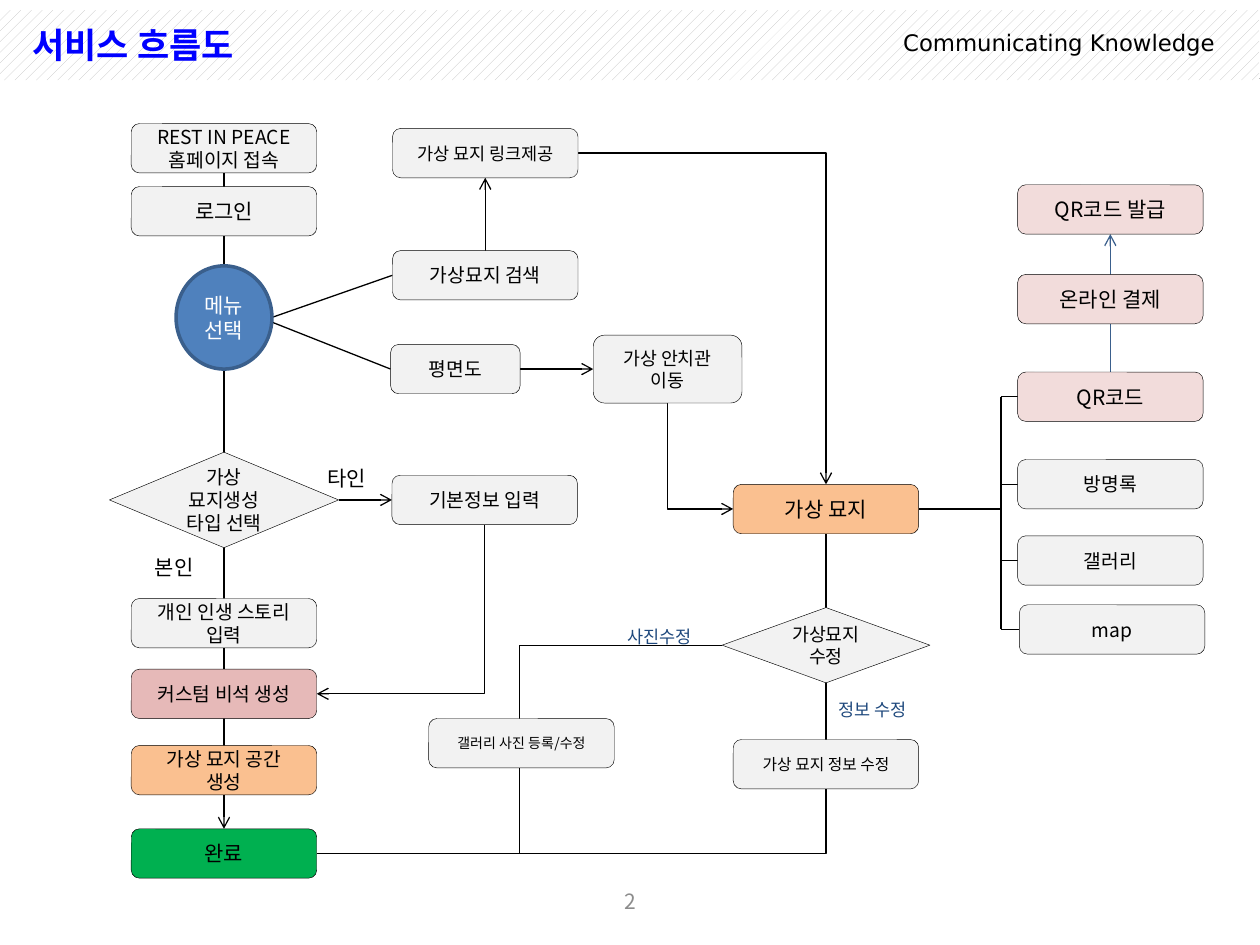
from lxml import etree
from pptx import Presentation
from pptx import util as u
from pptx.dml.color import RGBColor
from pptx.enum import dml, shapes, text
from pptx.oxml.ns import qn

KOREAN, LATIN = "Noto Sans CJK KR", "DejaVu Sans"
BLACK = RGBColor(0x00, 0x00, 0x00)
WHITE = RGBColor(0xFF, 0xFF, 0xFF)
GREY = RGBColor(0xF2, 0xF2, 0xF2)
PINK = RGBColor(0xF2, 0xDC, 0xDB)
ROSE = RGBColor(0xE6, 0xB9, 0xB8)
ORANGE = RGBColor(0xFA, 0xC0, 0x90)
GREEN = RGBColor(0x00, 0xB0, 0x50)
BLUE = RGBColor(0x4F, 0x81, 0xBD)
STEEL = RGBColor(0x3A, 0x5F, 0x8C)
NAVY = RGBColor(0x1F, 0x49, 0x7D)
TITLE_BLUE = RGBColor(0x00, 0x00, 0xFF)
RULE_GREY = RGBColor(0xB2, 0xB2, 0xB2)
HATCH_GREY = RGBColor(0xC0, 0xC0, 0xC0)
NUMBER_GREY = RGBColor(0x8C, 0x8C, 0x8C)

STEP_W, STEP_H = 106, 28.2
TOP, LEFT, BOTTOM, RIGHT = range(4)
ROUND = shapes.MSO_SHAPE.ROUNDED_RECTANGLE
DECISION = shapes.MSO_SHAPE.FLOWCHART_DECISION


def write(box, words, size=11, color=BLACK, font=KOREAN, bold=False,
          align=text.PP_ALIGN.CENTER, spacing=None, wrap=True):
    """Fill a shape with one paragraph per line of words."""
    frame = box.text_frame
    frame.word_wrap = wrap
    frame.vertical_anchor = text.MSO_ANCHOR.MIDDLE
    for number, line in enumerate(words.split("\n")):
        para = frame.add_paragraph() if number else frame.paragraphs[0]
        para.alignment = align
        para.line_spacing = spacing or u.Pt(size * 1.2)
        span = para.add_run()
        span.text = line
        span.font.name, span.font.size = font, u.Pt(size)
        span.font.bold = bold
        span.font.color.rgb = color
        east = etree.SubElement(span._r.get_or_add_rPr(), qn("a:ea"))
        east.set("typeface", font)


def label(page, words, x, y, width, height, **style):
    box = page.shapes.add_textbox(*map(u.Pt, (x, y, width, height)))
    write(box, words, **style)


def node(page, words, x, y, width=STEP_W, height=STEP_H, kind=ROUND,
         fill=GREY, line=BLACK, weight=0.25, **style):
    box = page.shapes.add_shape(kind, *map(u.Pt, (x, y, width, height)))
    box.shadow.inherit = False
    box.fill.solid()
    box.fill.fore_color.rgb = fill
    box.line.color.rgb = line
    box.line.width = u.Pt(weight)
    write(box, words, **style)
    return box


def link(page, start, end, arrow=None, color=BLACK, bend=None):
    """Join two ends, each a point (x, y) or a (box, side), behind the boxes.

    arrow is "headEnd" (at start) or "tailEnd" (at end).
    bend is the number of the bent connector: 2 for one corner, 3 for two.
    """
    kind = shapes.MSO_CONNECTOR.ELBOW if bend else shapes.MSO_CONNECTOR.STRAIGHT
    points = [(0, 0) if hasattr(place[0], "shape_id") else place
              for place in (start, end)]
    line = page.shapes.add_connector(
        kind, *(u.Pt(value) for point in points for value in point))
    if hasattr(start[0], "shape_id"):
        line.begin_connect(*start)
    if hasattr(end[0], "shape_id"):
        line.end_connect(*end)
    line.line.color.rgb = color
    line.line.width = u.Pt(0.75)
    properties = line._element.spPr
    if bend:
        properties.find(qn("a:prstGeom")).set("prst", f"bentConnector{bend}")
    if arrow:
        tip = etree.SubElement(line.line._get_or_add_ln(), qn(f"a:{arrow}"))
        tip.set("type", "arrow")
    etree.SubElement(properties, qn("a:effectLst"))
    page.shapes._spTree.insert(2, line._element)


def header(page):
    band = page.shapes.add_shape(shapes.MSO_SHAPE.RECTANGLE,
                                 *map(u.Pt, (0, 5.8, 719.5, 40)))
    band.shadow.inherit = False
    band.line.fill.background()
    band.fill.patterned()
    band.fill.pattern = dml.MSO_PATTERN.PERCENT_20
    band.fill.fore_color.rgb = HATCH_GREY
    band.fill.back_color.rgb = WHITE
    label(page, "Communicating Knowledge", 506, 15.5, 195, 20, size=13,
          font=LATIN, align=text.PP_ALIGN.RIGHT, spacing=0.8, wrap=False)
    label(page, "서비스 흐름도", 11.5, 5.8, 500, 39.6, size=20,
          color=TITLE_BLUE, bold=True, align=text.PP_ALIGN.LEFT)
    label(page, "2", 11.5, 500.4, 697.7, 28.8, size=12, color=NUMBER_GREY)


def main():
    deck = Presentation()
    deck.slide_width, deck.slide_height = u.Pt(720), u.Pt(540)
    page = deck.slides.add_slide(deck.slide_layouts[6])
    header(page)

    # Main column
    visit = node(page, "REST IN PEACE 홈페이지 접속", 75, 70.6)
    node(page, "로그인", 75, 106.6, size=12)
    node(page, "메뉴선택", 100.6, 151.9, 54.8, 59, size=12, color=WHITE,
         kind=shapes.MSO_SHAPE.OVAL, fill=BLUE, line=STEEL, weight=2)
    grave_type = node(page, "가상 묘지생성\n타입 선택", 62.5, 258.4, 131, 54.6,
                      kind=DECISION)
    node(page, "개인 인생 스토리 입력", 75, 342)
    node(page, "커스텀 비석 생성", 75, 382.4, fill=ROSE)
    node(page, "가상 묘지 공간\n생성", 75, 426, fill=ORANGE)
    done = node(page, "완료", 75, 473.6, size=12, fill=GREEN)

    # Search, floor plan and basic details
    shared = node(page, "가상 묘지 링크제공", 224.3, 73.4, size=10)
    search = node(page, "가상묘지 검색", 224.3, 143.2)
    plan = node(page, "평면도", 223.2, 196.8, 74)
    hall = node(page, "가상 안치관 이동", 339, 191.5, 85, 38.8, size=10.5)
    details = node(page, "기본정보 입력", 224, 271.6)

    # Virtual grave and its editing
    grave = node(page, "가상 묘지", 419, 276.8, size=12, fill=ORANGE)
    node(page, "가상묘지 수정", 412.6, 347.2, 118.8, 43, kind=DECISION, size=10.5)
    node(page, "가상 묘지 정보 수정", 419, 422.6, size=9)
    node(page, "갤러리 사진 등록/수정", 245, 410.6, size=8)

    # Grave contents and code payment
    code = node(page, "QR코드", 581.5, 212.6, size=12, fill=PINK)
    contents = [code, node(page, "방명록", 581.5, 262.6),
                node(page, "갤러리", 581.5, 306.2),
                node(page, "map", 582.5, 345.6)]
    node(page, "온라인 결제", 581.5, 156.8, size=12, fill=PINK)
    issued = node(page, "QR코드 발급", 581.5, 105.6, size=12, fill=PINK)

    # Branch labels
    for words, x, y, width, size, color in (
            ("본인", 81.4, 313.8, 39, 12, BLACK),
            ("타인", 180, 262.6, 39, 12, BLACK),
            ("정보 수정", 472, 395, 58, 10, NAVY),
            ("사진수정", 351.5, 353, 55, 10, NAVY)):
        label(page, words, x, y, width, 21, size=size, color=color,
              align=text.PP_ALIGN.LEFT, wrap=False)

    # Straight links
    link(page, (visit, BOTTOM), (done, TOP), "tailEnd")
    link(page, (grave_type, RIGHT), (details, LEFT), "tailEnd")
    link(page, (search, TOP), (shared, BOTTOM), "tailEnd")
    link(page, (155.4, 181.4), (search, LEFT))
    link(page, (154.2, 183.6), (plan, LEFT))
    link(page, (plan, RIGHT), (hall, LEFT), "tailEnd")
    link(page, (code, TOP), (issued, BOTTOM), "tailEnd", STEEL)

    # Bracket from the grave to its contents
    trunk = 572
    middles = [(box.top + box.height / 2) / u.Pt(1) for box in contents]
    link(page, (trunk, middles[0]), (trunk, middles[-1]))
    for box, middle in zip(contents, middles):
        link(page, (trunk, middle), (box, LEFT))
    link(page, (grave, RIGHT), (trunk, 290.9))

    # Bent links, each leaving its start sideways
    link(page, (330.3, 87.5), (472, 276.8), "tailEnd", bend=2)
    link(page, (181, 396.5), (277, 299.8), "headEnd", bend=2)
    link(page, (419, 290.9), (381.5, 230.3), "headEnd", bend=2)
    link(page, (181, 487.7), (472, 305), bend=2)
    link(page, (412.6, 368.7), (181, 487.7), bend=3)

    # Rule under the header
    link(page, (0, 44.8), (720, 44.8), color=RULE_GREY)

    deck.save("out.pptx")


if __name__ == "__main__":
    main()
